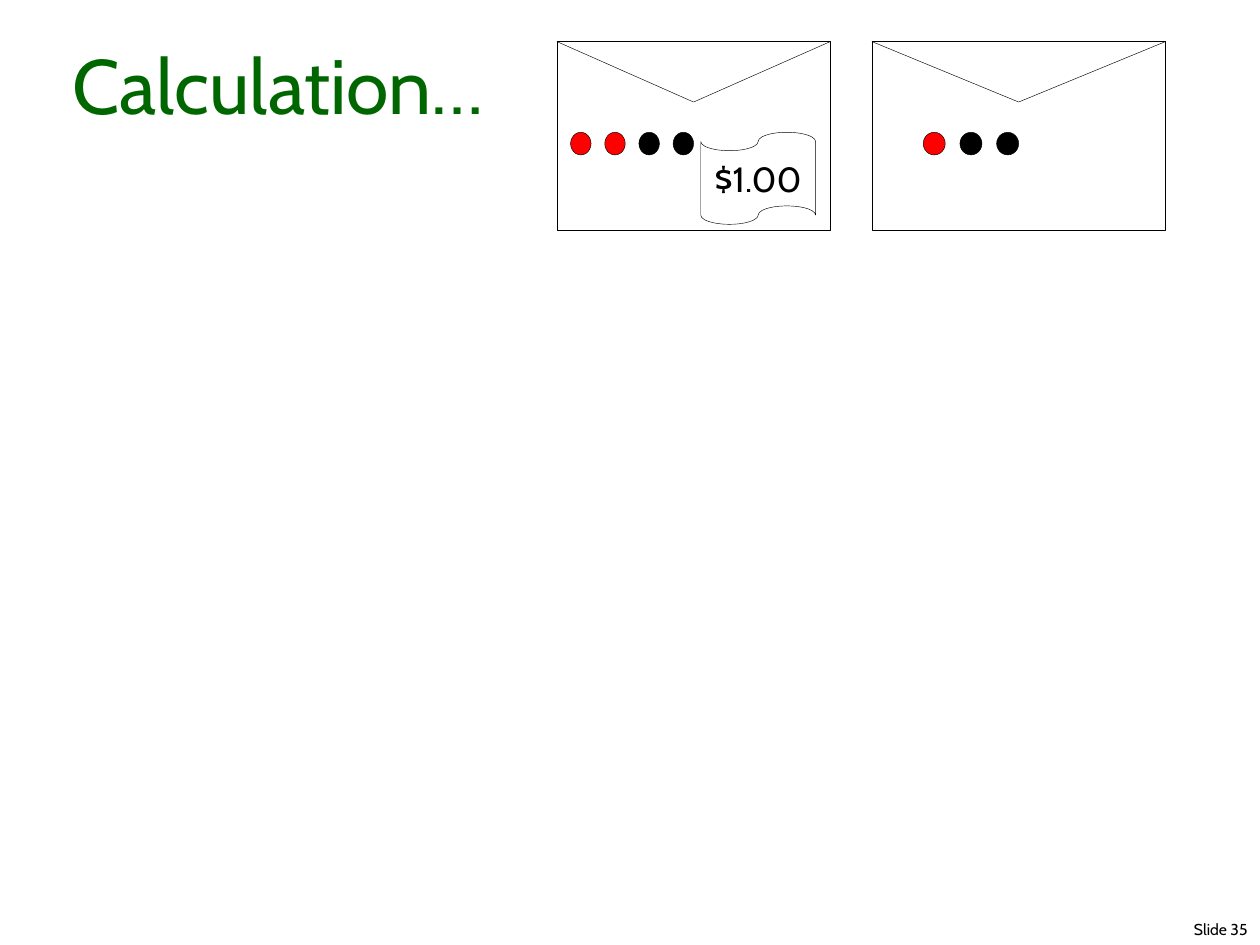
from pptx import Presentation
from pptx.dml.color import RGBColor
from pptx.enum.shapes import MSO_CONNECTOR, MSO_SHAPE
from pptx.enum.text import MSO_ANCHOR, MSO_AUTO_SIZE, PP_ALIGN
from pptx.oxml.ns import qn
from pptx.util import Inches, Pt
from lxml import etree

LINE = MSO_CONNECTOR.STRAIGHT
RECT, BALL, TAPE = MSO_SHAPE.RECTANGLE, MSO_SHAPE.OVAL, MSO_SHAPE.FLOWCHART_PUNCHED_TAPE
MID, LOW = MSO_ANCHOR.MIDDLE, MSO_ANCHOR.BOTTOM
CENTER, RIGHT = PP_ALIGN.CENTER, PP_ALIGN.RIGHT

BLACK = RGBColor(0x00, 0x00, 0x00)
RED = RGBColor(0xFF, 0x00, 0x00)
GREEN = RGBColor(0x00, 0x66, 0x00)
FONT = "Cabin"
THIN = Pt(0.25)


def write(frame, text, size, color, align, anchor, wrap=True):
    frame.text = text
    frame.word_wrap = wrap
    frame.auto_size = MSO_AUTO_SIZE.NONE
    frame.vertical_anchor = anchor
    frame.margin_left = frame.margin_right = Inches(0.1)
    frame.margin_top = frame.margin_bottom = Inches(0.05)
    para = frame.paragraphs[0]
    para.alignment = align
    font = para.runs[0].font
    font.name, font.size, font.color.rgb = FONT, Pt(size), color


def inside(box, x, y, w, h):
    """Turn shares of a box into a smaller box in inches."""
    left, top, wide, high = box
    return left + x * wide, top + y * high, w * wide, h * high


def draw(group, kind, box, fill=None):
    shape = group.shapes.add_shape(kind, *map(Inches, box))
    shape.shadow.inherit = False
    if fill is None:
        shape.fill.background()
    else:
        shape.fill.solid()
        shape.fill.fore_color.rgb = fill
    shape.line.color.rgb = BLACK
    shape.line.width = THIN
    return shape


def rule(group, start, end):
    line = group.shapes.add_connector(LINE, *map(Inches, start + end))
    line.line.color.rgb = BLACK
    line.line.width = THIN
    etree.SubElement(line._element.spPr, qn("a:effectLst"))


def envelope(slide, box, balls, first, bill=None):
    group = slide.shapes.add_group_shape()
    left, top, wide, high = box
    draw(group, RECT, box)

    # Flap
    tip = (left + wide / 2, top + 0.32 * high)
    rule(group, (left, top), tip)
    rule(group, tip, (left + wide, top))

    # Row of balls, one to each eighth of the width
    for i, color in enumerate(balls):
        draw(group, BALL, inside(box, first + i / 8, 0.48, 0.075, 0.12), color)

    # Bank note
    if bill:
        note = draw(group, TAPE, inside(box, 0.526, 0.48, 0.42, 0.487))
        write(note.text_frame, bill, 20, BLACK, CENTER, MID, wrap=False)


def heading(slide, box, text):
    title = slide.shapes.title
    title.left, title.top, title.width, title.height = map(Inches, box)
    write(title.text_frame, text, 44, GREEN, CENTER, LOW)


def footer(slide, box, text):
    label = slide.shapes.add_textbox(*map(Inches, box))
    write(label.text_frame, text, 9, BLACK, RIGHT, MSO_ANCHOR.TOP)


def main():
    deck = Presentation()
    deck.slide_width, deck.slide_height = Inches(10), Inches(7.5)
    slide = deck.slides.add_slide(deck.slide_layouts[5])

    footer(slide, (6.08, 7.25, 3.92, 0.27), "Slide 35")
    heading(slide, (0.25, 0.25, 3.92, 0.83), "Calculation…")
    envelope(slide, (4.42, 0.33, 2.17, 1.5), [RED, RED, BLACK, BLACK], 0.05, "$1.00")
    envelope(slide, (6.92, 0.33, 2.33, 1.5), [RED, BLACK, BLACK], 0.175)

    deck.save("out.pptx")


if __name__ == "__main__":
    main()
